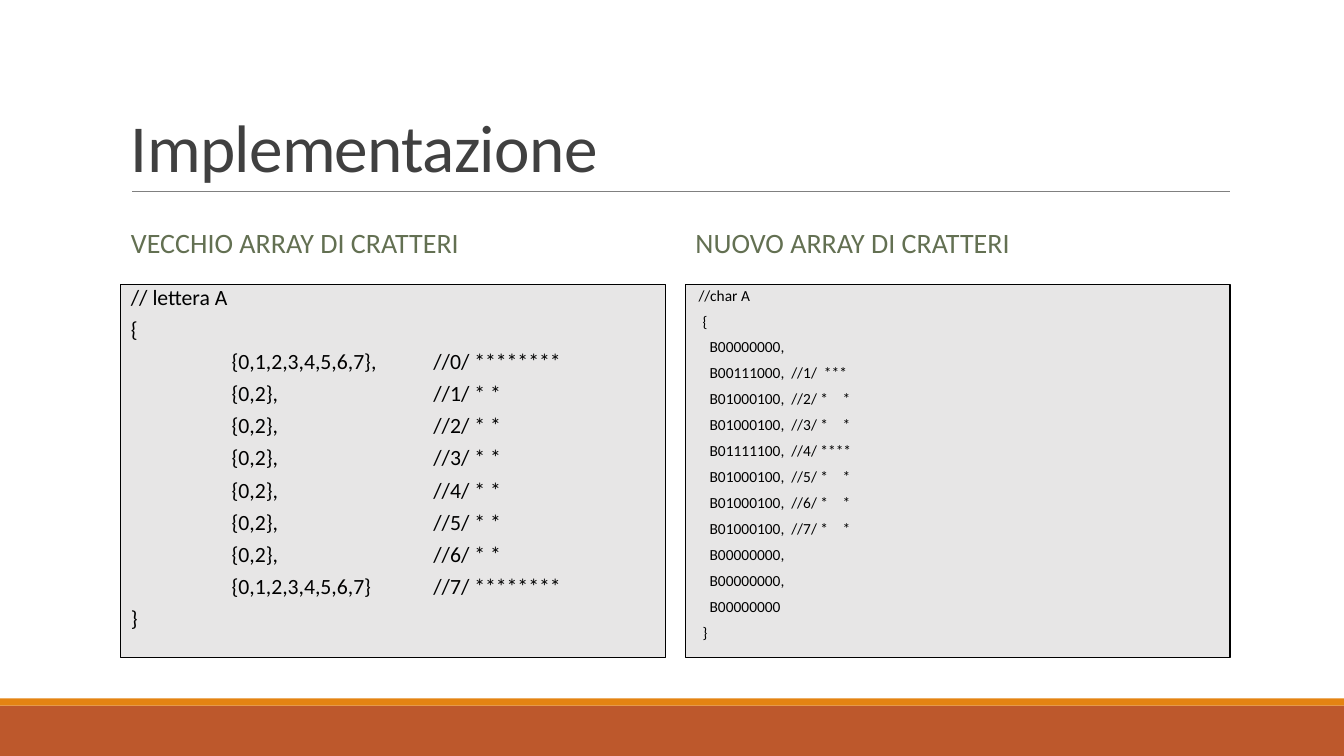
from dataclasses import dataclass

from lxml.etree import SubElement
from pptx import Presentation
from pptx.dml.color import RGBColor
from pptx.enum.shapes import MSO_CONNECTOR, MSO_SHAPE
from pptx.enum.text import MSO_ANCHOR, PP_ALIGN
from pptx.oxml.ns import qn
from pptx.util import Inches, Pt

FONT = "Calibri"
COLUMN_LEFTS = (1.2, 6.8)
COLUMN_WIDTH = 5.4


@dataclass(frozen=True)
class Area:
    left: float
    top: float
    width: float
    height: float

    def lengths(self) -> tuple:
        return tuple(Inches(side) for side in (self.left, self.top, self.width, self.height))


@dataclass(frozen=True)
class TextStyle:
    size: float
    color: str
    line_spacing: float
    space_before: float = 0
    space_after: float = 0
    letter_spacing: float = 0


@dataclass(frozen=True)
class Line:
    text: str
    indent: float = 0
    tabs: tuple[float, ...] = ()


@dataclass(frozen=True)
class Listing:
    caption: str
    size: float
    lines: list[Line]


def rgb(color: str) -> RGBColor:
    return RGBColor.from_string(color)


def add_bar(page, area: Area, fill: str, outline: str = ""):
    bar = page.shapes.add_shape(MSO_SHAPE.RECTANGLE, *area.lengths())
    bar.shadow.inherit = False
    bar.fill.solid()
    bar.fill.fore_color.rgb = rgb(fill)
    if outline:
        bar.line.color.rgb = rgb(outline)
        bar.line.width = Pt(0.75)
    else:
        bar.line.fill.background()
    return bar


def add_rule(page, left: float, right: float, top: float, color: str) -> None:
    rule = page.shapes.add_connector(
        MSO_CONNECTOR.STRAIGHT, Inches(left), Inches(top), Inches(right), Inches(top))
    rule.line.color.rgb = rgb(color)
    rule.line.width = Pt(0.5)
    SubElement(rule._element.spPr, qn("a:effectLst"))


def write_lines(box, lines: list[Line], style: TextStyle, anchor: MSO_ANCHOR) -> None:
    frame = box.text_frame
    frame.word_wrap = True
    frame.vertical_anchor = anchor
    para_format = {
        "alignment": PP_ALIGN.LEFT,
        "line_spacing": style.line_spacing,
        "space_before": Pt(style.space_before),
        "space_after": Pt(style.space_after),
    }
    font_format = {"name": FONT, "size": Pt(style.size)}
    for index, line in enumerate(lines):
        para = frame.add_paragraph() if index else frame.paragraphs[0]
        for name, value in para_format.items():
            setattr(para, name, value)
        properties = para._p.get_or_add_pPr()
        if line.indent:
            properties.set("marL", str(Inches(line.indent)))
        if line.tabs:
            stops = SubElement(properties, qn("a:tabLst"))
            for position in line.tabs:
                SubElement(stops, qn("a:tab"), pos=str(Inches(position)), algn="l")
        span = para.add_run()
        span.text = line.text
        for name, value in font_format.items():
            setattr(span.font, name, value)
        span.font.color.rgb = rgb(style.color)
        if style.letter_spacing:
            span._r.get_or_add_rPr().set("spc", str(int(style.letter_spacing * 100)))


def add_text(page, area: Area, text: str, style: TextStyle, anchor: MSO_ANCHOR) -> None:
    box = page.shapes.add_textbox(*area.lengths())
    write_lines(box, [Line(text)], style, anchor)


def add_listing(page, left: float, listing: Listing) -> None:
    caption_style = TextStyle(20, "637052", 0.9, space_before=12, space_after=2)
    add_text(page, Area(left, 2.02, COLUMN_WIDTH, 0.81), listing.caption,
             caption_style, MSO_ANCHOR.MIDDLE)
    box = add_bar(page, Area(left, 2.82, COLUMN_WIDTH, 3.7), "E7E6E6", "000000")
    code_style = TextStyle(listing.size, "000000", 0.8, space_after=8)
    write_lines(box, listing.lines, code_style, MSO_ANCHOR.TOP)


def old_lines() -> list[Line]:
    full_row = "{0,1,2,3,4,5,6,7}"
    rows = [(full_row + ",", "********")] + [("{0,2},", "* *")] * 6 + [(full_row, "********")]
    body = [Line(f"\t{columns}\t//{number}/ {stars}", tabs=(1, 3))
            for number, (columns, stars) in enumerate(rows)]
    return [Line("// lettera A"), Line("{"), *body, Line("}")]


def new_lines() -> list[Line]:
    empty = "B00000000"
    sides = ("B01000100", "*\t*")
    rows = [("B00111000", " ***"), sides, sides, ("B01111100", "****"), sides, sides, sides]
    drawn = [f"{bits},\t//{number}/ {stars}" for number, (bits, stars) in enumerate(rows, 1)]
    body = [empty + ",", *drawn, empty + ",", empty + ",", empty]
    return [
        Line("//char A", indent=0.03),
        Line("{", indent=0.07),
        *(Line("\t" + text, tabs=(0.14, 0.95, 1.46)) for text in body),
        Line("}", indent=0.07),
    ]


def main() -> None:
    deck = Presentation()
    deck.slide_width, deck.slide_height = Inches(13.33), Inches(7.5)
    page = deck.slides.add_slide(deck.slide_layouts[6])

    add_bar(page, Area(0, 7, 13.33, 0.5), "BD582C")
    add_bar(page, Area(0, 6.93, 13.33, 0.07), "E48312")
    add_rule(page, 1.31, 12.2, 1.9, "808080")
    add_text(page, Area(1.2, 0.31, 11, 1.59), "Implementazione",
             TextStyle(48, "404040", 0.85, letter_spacing=-0.5), MSO_ANCHOR.BOTTOM)

    listings = (
        Listing("VECCHIO ARRAY DI CRATTERI", 15.5, old_lines()),
        Listing("NUOVO ARRAY DI CRATTERI", 11, new_lines()),
    )
    for left, listing in zip(COLUMN_LEFTS, listings):
        add_listing(page, left, listing)

    deck.save("out.pptx")


if __name__ == "__main__":
    main()
